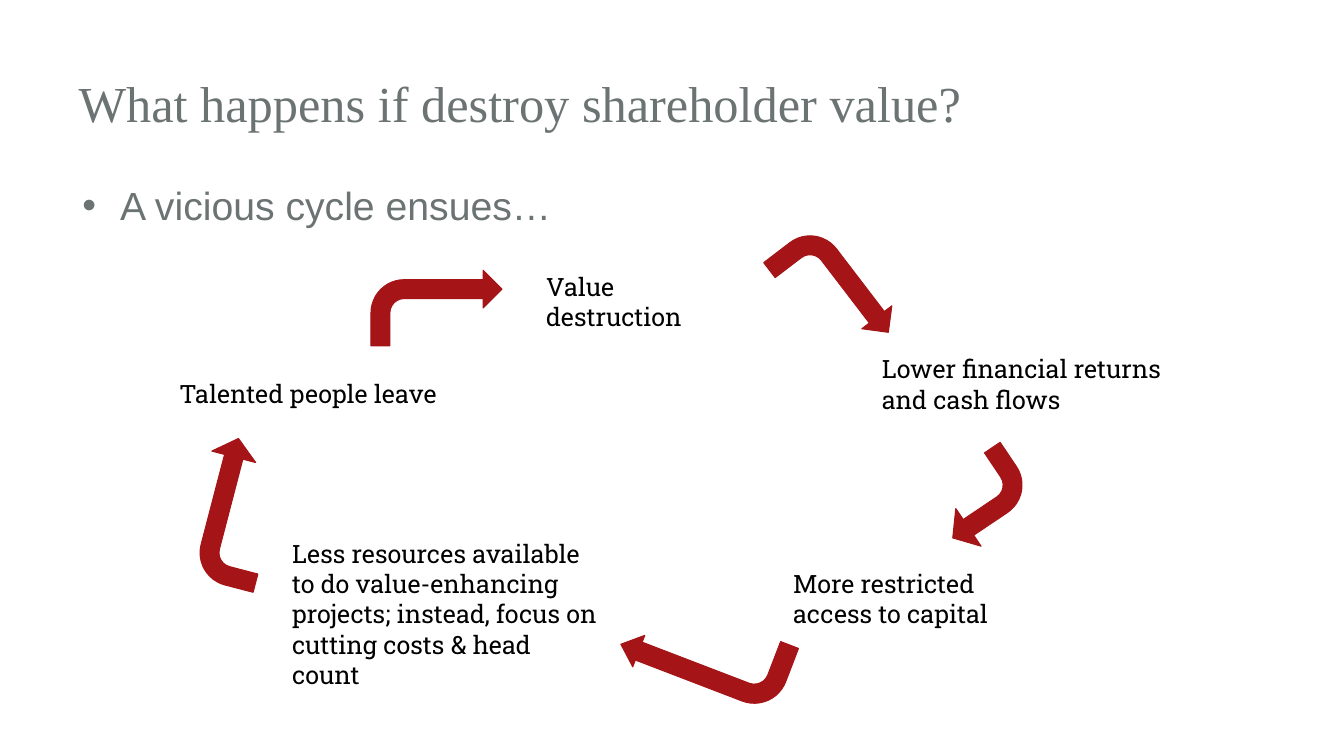
from dataclasses import dataclass

from lxml import etree
from pptx import Presentation
from pptx.dml.color import RGBColor
from pptx.enum.shapes import MSO_SHAPE
from pptx.enum.text import MSO_ANCHOR, MSO_AUTO_SIZE
from pptx.oxml.ns import qn
from pptx.util import Pt

BENT_ARROW = MSO_SHAPE.BENT_ARROW
TOP = MSO_ANCHOR.TOP
MIDDLE = MSO_ANCHOR.MIDDLE
GROW = MSO_AUTO_SIZE.SHAPE_TO_FIT_TEXT
BLANK_LAYOUT = 6


@dataclass(frozen=True)
class TextStyle:
    font: str
    size: float
    color: str


@dataclass(frozen=True)
class Theme:
    title: TextStyle = TextStyle("Times New Roman", 36, "6C7373")
    body: TextStyle = TextStyle("Arial", 28, "6C7373")
    stage: TextStyle = TextStyle("Roboto Slab", 18, "000000")
    arrow: str = "A51417"
    arrow_line: float = 0.75
    bullet_indent: float = 27


class SlideBuilder:
    def __init__(self, slide, theme):
        self.slide = slide
        self.theme = theme

    def text(self, words, bounds, style, anchor=TOP):
        box = self.slide.shapes.add_textbox(*map(Pt, bounds))
        frame = box.text_frame
        frame.text = words
        frame.word_wrap = True
        frame.vertical_anchor = anchor
        font = frame.paragraphs[0].runs[0].font
        font.name = style.font
        font.size = Pt(style.size)
        font.color.rgb = RGBColor.from_string(style.color)
        return box

    def title(self, words, bounds):
        self.text(words, bounds, self.theme.title, MIDDLE)

    def bullet(self, words, bounds):
        box = self.text(words, bounds, self.theme.body)
        properties = box.text_frame.paragraphs[0]._p.get_or_add_pPr()
        indent = Pt(self.theme.bullet_indent)
        properties.set("marL", str(indent))
        properties.set("indent", str(-indent))
        etree.SubElement(properties, qn("a:buFont")).set("typeface", "Arial")
        etree.SubElement(properties, qn("a:buChar")).set("char", "•")

    def stage(self, words, bounds):
        box = self.text(words, bounds, self.theme.stage)
        box.text_frame.auto_size = GROW

    def arrow(self, bounds, rotation, bend):
        arrow = self.slide.shapes.add_shape(BENT_ARROW, *map(Pt, bounds))
        arrow.shadow.inherit = False
        arrow.rotation = rotation
        for index, value in enumerate((0.25, bend, 0.25, 0.44)):
            arrow.adjustments[index] = value
        color = RGBColor.from_string(self.theme.arrow)
        arrow.fill.solid()
        arrow.fill.fore_color.rgb = color
        arrow.line.color.rgb = color
        arrow.line.width = Pt(self.theme.arrow_line)


STAGES = [
    ("Value destruction", (383, 190, 160.6, 28.8)),
    ("Lower financial returns and cash flows", (622.8, 249.1, 223.2, 51)),
    ("More restricted access to capital", (559.4, 402.5, 187.2, 51)),
    (
        "Less resources available to do value-enhancing projects; "
        "instead, focus on cutting costs & head count",
        (201.6, 380.9, 237.6, 94.3),
    ),
    ("Talented people leave", (121, 266.4, 237.6, 28.8)),
]

ARROWS = [
    ((265, 193, 93.6, 54), 0, 0.25),
    ((548.6, 181.4, 93.6, 54), 52.6, 0.25),
    ((668.9, 329.8, 66.2, 54), 146.1, 0.3),
    ((445, 439.9, 119.5, 54.7), 201, 0.22),
    ((115.9, 339.1, 103.7, 54), 284.6, 0.3),
]


def main():
    deck = Presentation()
    deck.slide_width = Pt(960)
    deck.slide_height = Pt(540)
    page = deck.slides.add_slide(deck.slide_layouts[BLANK_LAYOUT])
    builder = SlideBuilder(page, Theme())
    builder.title("What happens if destroy shareholder value?", (49, 34.6, 759.6, 77))
    builder.bullet("A vicious cycle ensues…", (51.8, 126, 854.6, 376.6))
    for words, bounds in STAGES:
        builder.stage(words, bounds)
    for bounds, rotation, bend in ARROWS:
        builder.arrow(bounds, rotation, bend)
    deck.save("out.pptx")


if __name__ == "__main__":
    main()
